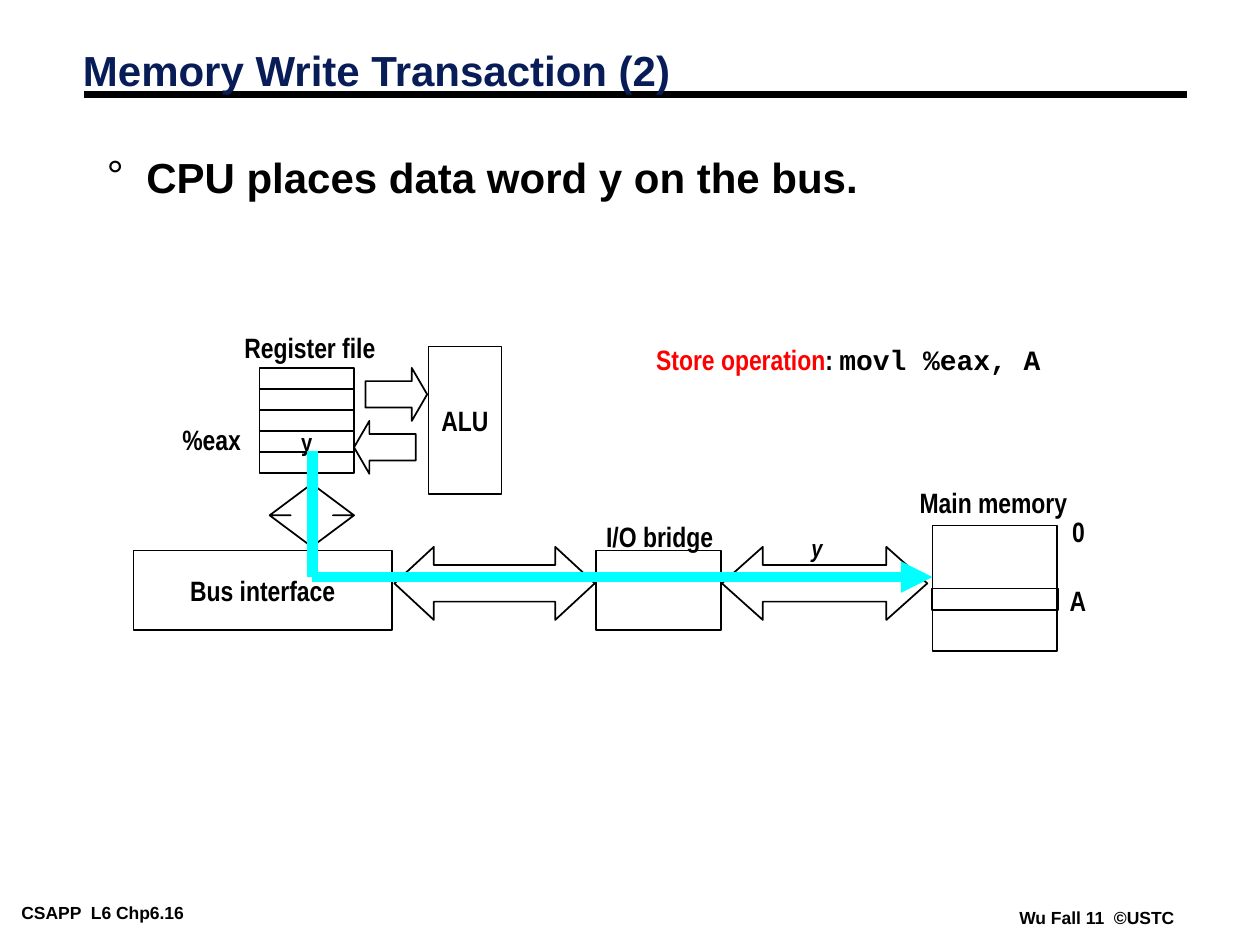
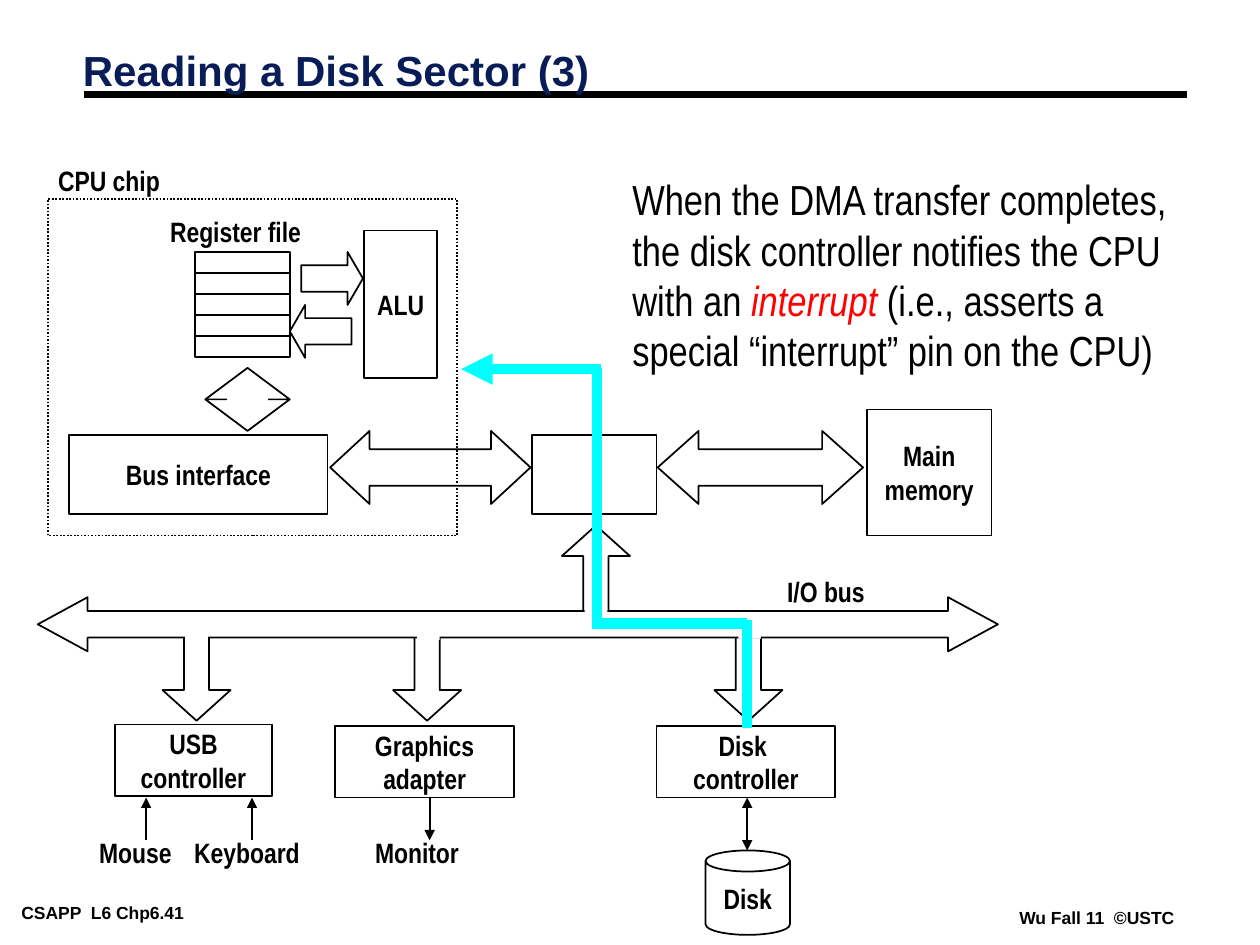
import lxml.etree
import pptx
import pptx.dml.color
import pptx.enum.dml
import pptx.enum.shapes
import pptx.enum.text
import pptx.oxml.ns
import pptx.util

Inches = pptx.util.Inches
Pt = pptx.util.Pt
RGB = pptx.dml.color.RGBColor.from_string
KIND = pptx.enum.shapes.MSO_SHAPE
SIDE = pptx.enum.text.PP_ALIGN
ANCHOR = pptx.enum.text.MSO_ANCHOR
FIT = pptx.enum.text.MSO_AUTO_SIZE
qn = pptx.oxml.ns.qn

COLORS = {"ink": "000000", "title": "081D58", "paper": "FFFFFF",
          "alert": "FF0000", "flow": "00FFFF"}
LABEL = {"name": "Arial Narrow", "size": Pt(16), "bold": True}
HEAD = {"name": "Arial", "size": Pt(24), "bold": True}
FOOT = {"name": "Arial", "size": Pt(10), "bold": True}
PROSE = {"name": "Arial Narrow", "size": Pt(24), "bold": False}
SMALL = {**LABEL, "size": Pt(14)}


def put(page, kind, at, text="", font=LABEL, color="ink", fill=None,
        line="ink", side=SIDE.CENTER, anchor=ANCHOR.MIDDLE, adj=(), wrap=False):
    """Add a shape, or a text box when kind is None.

    Text is a string with one paragraph a line, or a list of
    (words, colour, font changes) runs that form one paragraph.
    """
    spot = [Inches(n) for n in at]
    if kind is None:
        box = page.shapes.add_textbox(*spot)
    else:
        box = page.shapes.add_shape(kind, *spot)
        box.shadow.inherit = False
        for i, part in enumerate(adj):
            box.adjustments[i] = part
        if fill:
            box.fill.solid()
            box.fill.fore_color.rgb = RGB(COLORS[fill])
        else:
            box.fill.background()
        if line:
            box.line.color.rgb = RGB(COLORS[line])
            box.line.width = Pt(1)
        else:
            box.line.fill.background()
    if not text:
        return box
    frame = box.text_frame
    frame.word_wrap = wrap
    frame.vertical_anchor = anchor
    if kind is None:
        frame.auto_size = FIT.SHAPE_TO_FIT_TEXT
    if isinstance(text, str):
        rows = [[(row, color, {})] for row in text.split("\n")]
    else:
        rows = [text]
    for i, row in enumerate(rows):
        para = frame.add_paragraph() if i else frame.paragraphs[0]
        para.alignment = side
        for words, tint, change in row:
            run = para.add_run()
            run.text = words
            run.font.color.rgb = RGB(COLORS[tint])
            for key, value in {**font, **change}.items():
                setattr(run.font, key, value)
    return box


def draw(page, start, end, color="ink", width=1, tips=()):
    """Draw a line; tips may hold headEnd (at start) and tailEnd (at end)."""
    line = page.shapes.add_connector(
        pptx.enum.shapes.MSO_CONNECTOR.STRAIGHT,
        *[Inches(n) for n in (*start, *end)])
    line.line.color.rgb = RGB(COLORS[color])
    line.line.width = Pt(width)
    for tip in tips:
        lxml.etree.SubElement(line.line._get_or_add_ln(), qn("a:" + tip), type="triangle")
    lxml.etree.SubElement(line._element.spPr, qn("a:effectLst"))


deck = pptx.Presentation()
deck.slide_width = Inches(10)
deck.slide_height = Inches(7.5)

# Title, rule, footers and the CPU drawing, which both slides share.
# x and y are the top left corner of the register file.
pages = []
for title, number, x, y in (("Memory Write Transaction (2)", 16, 2.06, 2.92),
                            ("Reading a Disk Sector (3)", 41, 1.55, 2)):
    page = deck.slides.add_slide(deck.slide_layouts[6])
    pages.append(page)
    for at, words in (((0.1, 7.13, 1.95, 0.22), f"CSAPP  L6 Chp6.{number}"),
                      ((8.02, 7.17, 1.38, 0.22), "Wu Fall 11  ©USTC")):
        foot = put(page, None, at, words, FOOT, side=SIDE.LEFT, anchor=ANCHOR.TOP)
        for key, gap in {"left": 0.07, "top": 0.03, "right": 0.07, "bottom": 0.03}.items():
            setattr(foot.text_frame, "margin_" + key, Inches(gap))
    draw(page, (0.67, 0.75), (9.42, 0.75), width=4.5)
    head = put(page, None, (0.56, 0.36, 8.3, 0.45), title, HEAD, "title",
               side=SIDE.LEFT, wrap=True)
    head.text_frame.paragraphs[0].line_spacing = 0.87

    for row in range(5):
        put(page, KIND.RECTANGLE, (x, y + row / 6, 0.75, 0.17))
    # The up-down arrow lists its head before its stem.
    for kind, dx, dy, wide, high, adj in (
            (KIND.RIGHT_ARROW, 0.84, 0, 0.49, 0.42, (0.5, 0.29)),
            (KIND.LEFT_ARROW, 0.75, 0.42, 0.49, 0.42, (0.5, 0.29)),
            (KIND.UP_DOWN_ARROW, 0.08, 0.92, 0.67, 0.5, (0.2, 0.5)),
            (KIND.LEFT_RIGHT_ARROW, 1.07, 1.42, 1.59, 0.58, (0.5, 0.54)),
            (KIND.LEFT_RIGHT_ARROW, 3.67, 1.42, 1.63, 0.58, (0.5, 0.56)),
            (KIND.RECTANGLE, 2.67, 1.45, 0.99, 0.63, ())):
        put(page, kind, (x + dx, y + dy, wide, high), adj=adj)
    put(page, KIND.RECTANGLE, (x + 1.34, y - 0.17, 0.58, 1.17), "ALU")
    put(page, KIND.RECTANGLE, (x - 1, y + 1.45, 2.05, 0.63), "Bus interface")

write, read = pages

# Memory write: bullet, labels, memory and the data path
body = put(write, None, (0.75, 1.25, 8.58, 2.42), " CPU places data word y on the bus.",
           HEAD, side=SIDE.LEFT, anchor=ANCHOR.TOP, wrap=True)
body.text_frame.auto_size = FIT.NONE
para = body.text_frame.paragraphs[0]
para.line_spacing = 0.75
para.space_before = Pt(19.5)
props = para._p.get_or_add_pPr()
props.set("marL", str(Inches(0.22)))
props.set("indent", str(Inches(-0.22)))
tint = lxml.etree.SubElement(props, qn("a:buClr"))
lxml.etree.SubElement(tint, qn("a:srgbClr"), val=COLORS["ink"])
lxml.etree.SubElement(props, qn("a:buFont"), typeface="Arial")
lxml.etree.SubElement(props, qn("a:buChar"), char="°")

put(write, KIND.RECTANGLE, (2.06, 3.42, 0.75, 0.17), "y", SMALL)
put(write, KIND.RECTANGLE, (7.4, 4.17, 0.99, 1))
put(write, None, (6.34, 4.18, 0.29, 0.34), "y", {**SMALL, "italic": True}, side=SIDE.LEFT)
draw(write, (2.48, 3.58), (2.48, 4.58), "flow", 6)
draw(write, (2.48, 4.58), (7.4, 4.58), "flow", 6, ["tailEnd"])
put(write, KIND.RECTANGLE, (7.4, 4.67, 1, 0.17))
put(write, None, (5.11, 2.67, 3.25, 0.64),
    [("Store operation", "alert", {}), (": ", "ink", {}),
     ("movl %eax, A", "ink", {"name": "Courier New"})],
    side=SIDE.LEFT, anchor=ANCHOR.TOP)

# Disk read: chip outline, memory, devices
chip = put(read, KIND.RECTANGLE, (0.38, 1.58, 3.25, 2.67))
chip.line.dash_style = pptx.enum.dml.MSO_LINE.ROUND_DOT
put(read, KIND.RECTANGLE, (6.88, 3.25, 0.99, 1), "Main\nmemory")
for words, left, top, wide in (("USB\ncontroller", 0.91, 5.75, 1.25),
                               ("Graphics\nadapter", 2.66, 5.76, 1.42),
                               ("Disk \ncontroller", 5.21, 5.76, 1.42)):
    put(read, KIND.RECTANGLE, (left, top, wide, 0.57), words)
for x, low, tips in ((1.16, 6.67, ["headEnd"]), (2, 6.67, ["headEnd"]),
                     (3.41, 6.67, ["tailEnd"]), (5.93, 6.75, ["headEnd", "tailEnd"])):
    draw(read, (x, 6.33), (x, low), tips=tips)
put(read, KIND.CAN, (5.6, 6.75, 0.67, 0.67), "Disk", adj=[0.25])

# I/O bus: branches first, then the bus, then patches that open the joints
stem = (0.37, 0.45)
put(read, KIND.UP_ARROW, (4.46, 4.17, 0.54, 0.75), adj=stem)
for left in (1.29, 3.12, 5.67):
    put(read, KIND.DOWN_ARROW, (left, 4.97, 0.54, 0.75), adj=stem)
put(read, KIND.LEFT_RIGHT_ARROW, (0.3, 4.74, 7.62, 0.43), fill="paper", adj=(0.49, 0.92))
for left, top in ((1.47, 4.92), (3.31, 4.91), (5.86, 4.9), (4.64, 4.83)):
    put(read, KIND.RECTANGLE, (left, top, 0.18, 0.17), fill="paper", line=None)

# Labels, centred, with slack on both sides so that no word breaks
slack = 0.1
for page, words, left, top, wide in (
        (write, "Register file", 1.84, 2.57, 1.24), (write, "%eax", 1.35, 3.3, 0.66),
        (write, "I/O bridge", 4.71, 4.07, 1.05), (write, "Main memory", 7.2, 3.8, 1.37),
        (write, "0", 8.41, 4.03, 0.3), (write, "A", 8.39, 4.58, 0.33),
        (read, "Register file", 1.25, 1.65, 1.24), (read, "CPU chip", 0.36, 1.25, 1.01),
        (read, "I/O bus", 6.15, 4.51, 0.81), (read, "Mouse", 0.69, 6.58, 0.77),
        (read, "Keyboard", 1.44, 6.58, 1.04), (read, "Monitor", 2.88, 6.58, 0.86)):
    put(page, None, (left - slack, top, wide + 2 * slack, 0.37), words)

# Interrupt path from the disk controller to the CPU
for start, end, tips in (((4.77, 2.93), (3.66, 2.93), ["tailEnd"]),
                         ((4.74, 2.92), (4.74, 4.92), []),
                         ((4.7, 4.95), (5.93, 4.95), []),
                         ((5.93, 4.92), (5.93, 5.78), [])):
    draw(read, start, end, "flow", 6, tips)
put(read, None, (4.92, 1.33, 4.75, 1.7),
    [("When the DMA transfer completes, the disk controller notifies the CPU with an ",
      "ink", {}),
     ("interrupt", "alert", {"italic": True}),
     (" (i.e., asserts a special “interrupt” pin on the CPU)", "ink", {})],
    PROSE, side=SIDE.LEFT, anchor=ANCHOR.TOP, wrap=True)

deck.save("out.pptx")
